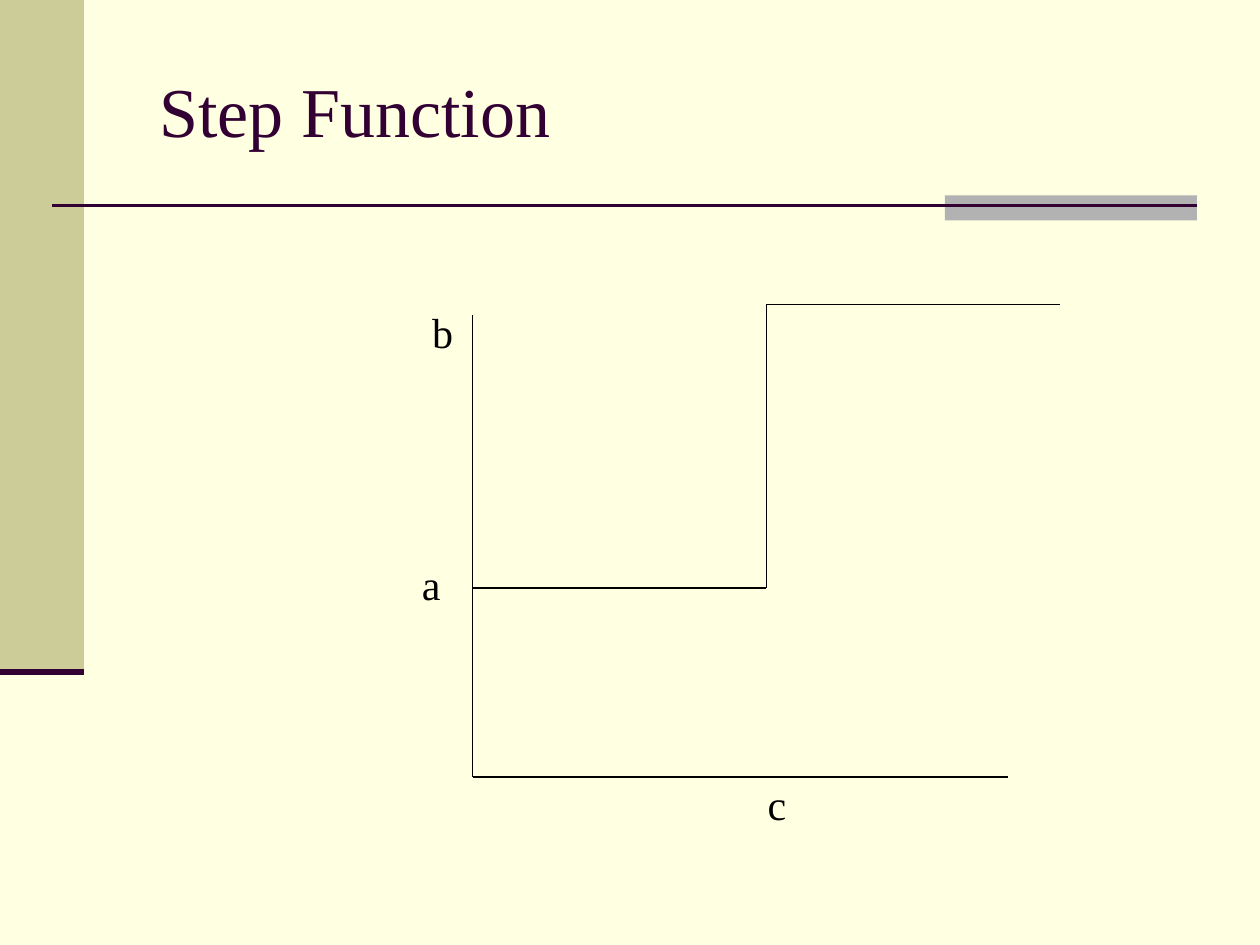
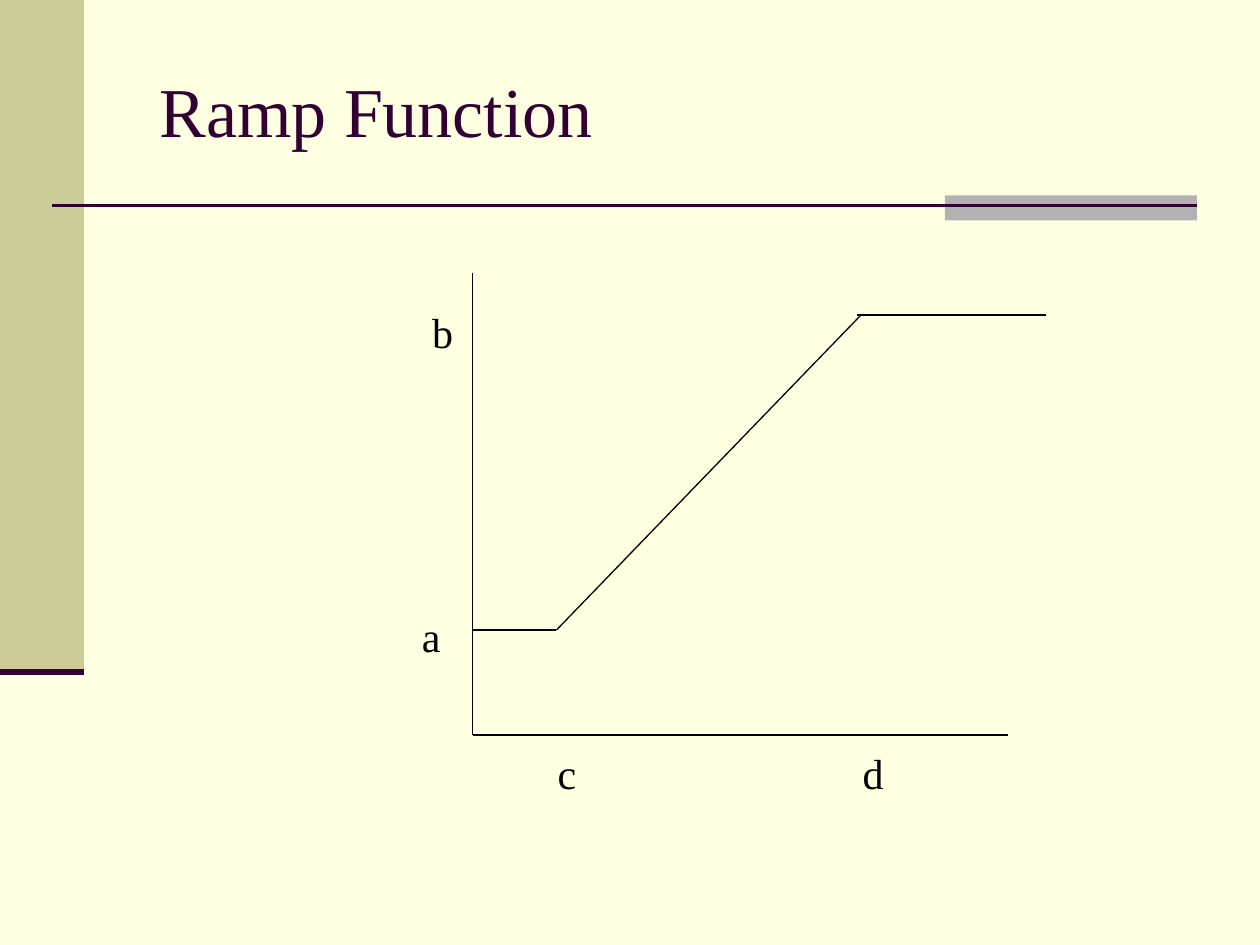
from lxml import etree
from pptx import Presentation
from pptx.dml.color import RGBColor
from pptx.enum.shapes import MSO_CONNECTOR, MSO_SHAPE
from pptx.enum.text import MSO_ANCHOR, PP_ALIGN
from pptx.oxml.ns import qn
from pptx.util import Pt

STRAIGHT = MSO_CONNECTOR.STRAIGHT
RECTANGLE = MSO_SHAPE.RECTANGLE
TOP = MSO_ANCHOR.TOP
LEFT = PP_ALIGN.LEFT

CREAM, OLIVE, GREY = "FFFFE1", "CCCC99", "B2B2B2"
PLUM, BLACK = "330033", "000000"
FONT = "Times New Roman"
TITLE_ONLY = 5
AXIS_X, AXIS_END = 270, 576
AXIS_HEIGHT = 264
LABEL_SIZE = (30, 36)


def color(value):
    return RGBColor.from_string(value)


def set_attributes(target, values):
    for name, value in values.items():
        setattr(target, name, value)


def write_text(shape, text, size, text_color):
    frame = shape.text_frame
    set_attributes(frame, {"word_wrap": True, "vertical_anchor": TOP})
    frame.text = text
    paragraph = frame.paragraphs[0]
    set_attributes(paragraph, {"alignment": LEFT, "space_before": Pt(0)})
    set_attributes(paragraph.font, {"name": FONT, "size": Pt(size)})
    paragraph.font.color.rgb = color(text_color)


def add_band(slide, left, top, width, height, fill):
    shape = slide.shapes.add_shape(RECTANGLE, Pt(left), Pt(top), Pt(width), Pt(height))
    shape.shadow.inherit = False
    shape.fill.solid()
    shape.fill.fore_color.rgb = color(fill)
    shape.line.fill.background()


def add_line(slide, start, end, line_color=BLACK, width=0.75):
    connector = slide.shapes.add_connector(
        STRAIGHT, Pt(start[0]), Pt(start[1]), Pt(end[0]), Pt(end[1])
    )
    connector.line.color.rgb = color(line_color)
    connector.line.width = Pt(width)
    etree.SubElement(connector.element.spPr, qn("a:effectLst"))


def add_label(slide, text, left, top):
    width, height = LABEL_SIZE
    box = slide.shapes.add_textbox(Pt(left), Pt(top), Pt(width), Pt(height))
    write_text(box, text, 24, BLACK)


def add_framed_slide(presentation, title_text):
    slide = presentation.slides.add_slide(presentation.slide_layouts[TITLE_ONLY])
    title = slide.shapes.title
    set_attributes(
        title, {"left": Pt(84), "top": Pt(35), "width": Pt(426), "height": Pt(56)}
    )
    write_text(title, title_text, 40, PLUM)
    add_band(slide, 0, 0, 48, 384, OLIVE)
    add_band(slide, 540, 111.6, 144, 14.4, GREY)
    add_line(slide, (30, 117.6), (684, 117.6), PLUM, 1.5)
    add_line(slide, (0, 384), (48, 384), PLUM, 3.5)
    return slide


def add_graph(presentation, title, baseline, segments, labels):
    slide = add_framed_slide(presentation, title)
    origin = (AXIS_X, baseline)
    add_line(slide, (AXIS_X, baseline - AXIS_HEIGHT), origin)
    add_line(slide, origin, (AXIS_END, baseline))
    for start, end in segments:
        add_line(slide, start, end)
    for text, left, top in labels:
        add_label(slide, text, left, top)


def main():
    presentation = Presentation()
    set_attributes(presentation, {"slide_width": Pt(720), "slide_height": Pt(540)})
    background = presentation.slide_master.background.fill
    background.solid()
    background.fore_color.rgb = color(CREAM)

    add_graph(
        presentation,
        "Step Function",
        444,
        [
            ((AXIS_X, 336), (438, 336)),
            ((438, 336), (438, 174)),
            ((438, 174), (606, 174)),
        ],
        [("a", 234, 315.4), ("b", 239.8, 171.4), ("c", 431.6, 441.4)],
    )
    add_graph(
        presentation,
        "Ramp Function",
        420,
        [
            ((AXIS_X, 360), (318, 360)),
            ((318, 360), (492, 180)),
            ((489.6, 180), (597.6, 180)),
        ],
        [
            ("a", 234, 345.4),
            ("b", 239.8, 171.4),
            ("c", 311.6, 423.4),
            ("d", 485.8, 423.4),
        ],
    )
    presentation.save("out.pptx")


if __name__ == "__main__":
    main()
